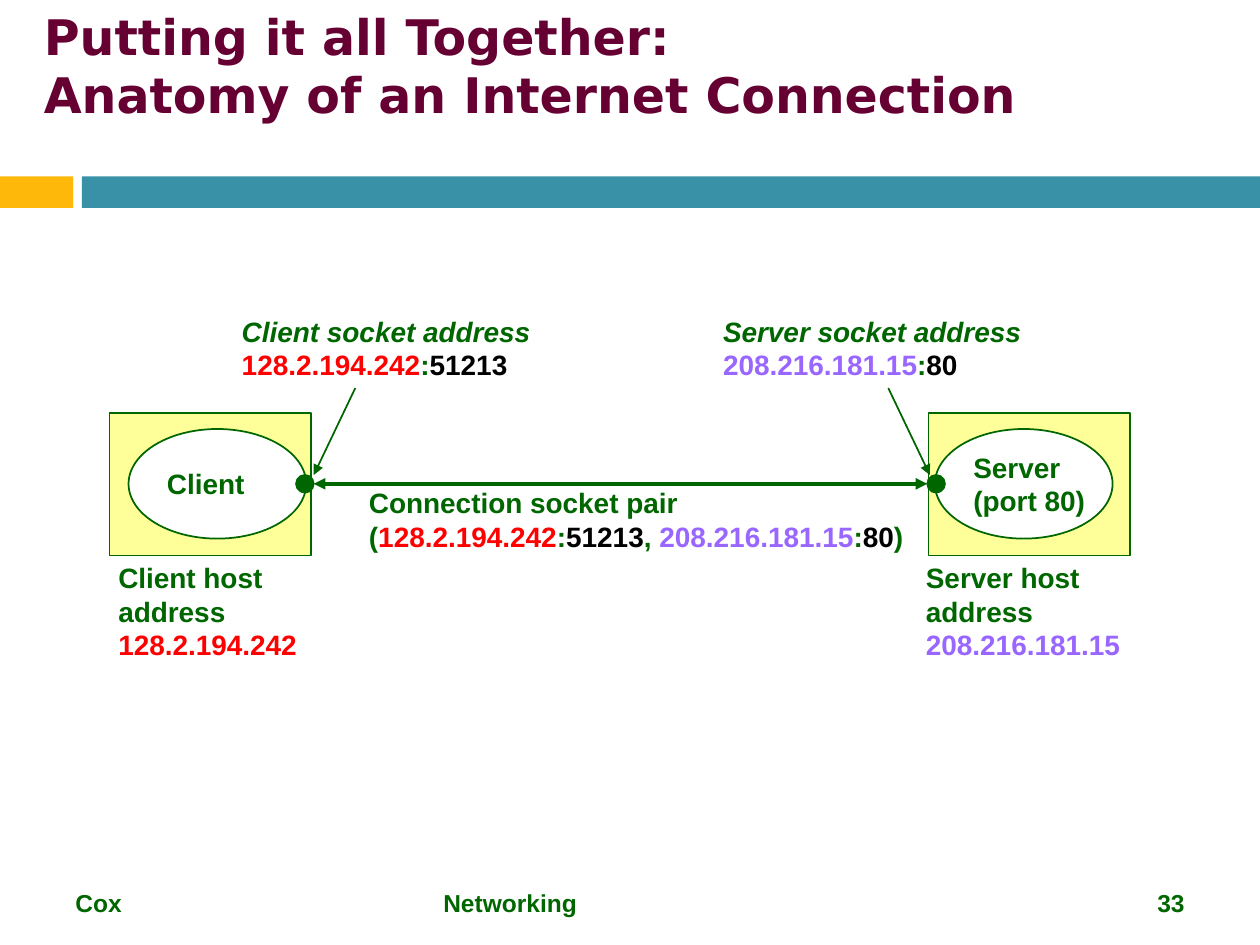
from lxml import etree
from pptx import Presentation
from pptx import util as u
from pptx.dml.color import RGBColor
from pptx.enum import shapes, text
from pptx.oxml import ns

GREEN = RGBColor(0x00, 0x66, 0x00)
MAROON = RGBColor(0x66, 0x00, 0x33)
GOLD = RGBColor(0xFE, 0xB8, 0x0A)
TEAL = RGBColor(0x38, 0x91, 0xA7)
YELLOW = RGBColor(0xFF, 0xFF, 0x99)
WHITE = RGBColor(0xFF, 0xFF, 0xFF)
BLACK = RGBColor(0x00, 0x00, 0x00)
RED = RGBColor(0xFF, 0x00, 0x00)
VIOLET = RGBColor(0x99, 0x66, 0xFF)

# Content: a paragraph is a list of (words, colour) runs
TITLE = "Putting it all Together: \vAnatomy of an Internet Connection"
BANDS = [(0, 0.58, GOLD), (0.65, 9.35, TEAL)]
FOOTERS = [  # words, left, width, alignment
    ("Cox", 0.5, 2.33, text.PP_ALIGN.LEFT),
    ("Networking", 3.42, 3.17, text.PP_ALIGN.LEFT),
    ("33", 7.17, 2.33, text.PP_ALIGN.RIGHT),
]
CLIENT_IP = ("128.2.194.242", RED)
SERVER_IP = ("208.216.181.15", VIOLET)
COLON = (":", GREEN)
CLIENT_SOCKET = [CLIENT_IP, COLON, ("51213", BLACK)]
SERVER_SOCKET = [SERVER_IP, COLON, ("80", BLACK)]
PAIR = [("(", GREEN), *CLIENT_SOCKET, (", ", GREEN), *SERVER_SOCKET, (")", GREEN)]

HOSTS = [
    dict(name="Client", process=["Client"], ip=CLIENT_IP, socket=CLIENT_SOCKET,
         box=0.87, oval=1.02, dot=2.35, socket_at=(1.82, 2.52),
         address_at=(0.84, 1.89), pointer=(2.82, 2.49)),
    dict(name="Server", process=["Server", "(port 80)"], ip=SERVER_IP, socket=SERVER_SOCKET,
         box=7.37, oval=7.42, dot=7.36, socket_at=(5.64, 2.83),
         address_at=(7.25, 1.95), pointer=(7.05, 7.38)),
]
AXIS = 3.84  # height of the connection line
BOX = (1.6, 1.13)
OVAL = (1.41, 0.87)
DOT = 0.14

prs = Presentation()
prs.slide_width, prs.slide_height = u.Inches(10), u.Inches(7.5)
slide = prs.slides.add_slide(prs.slide_layouts[6])


def write(shape, paragraphs, size=16, color=GREEN, font="Arial", italic_first=False,
          wrap=True, anchor=text.MSO_ANCHOR.MIDDLE, align=text.PP_ALIGN.LEFT):
    frame = shape.text_frame
    frame.word_wrap, frame.vertical_anchor = wrap, anchor
    for row, content in enumerate(paragraphs):
        paragraph = frame.paragraphs[0] if row == 0 else frame.add_paragraph()
        paragraph.alignment = align
        runs = [(content, color)] if isinstance(content, str) else content
        for words, run_color in runs:
            for part, piece in enumerate(words.split("\v")):
                if part:
                    paragraph.add_line_break()
                run = paragraph.add_run()
                run.text = piece
                style = dict(name=font, size=u.Pt(size), bold=True,
                             italic=italic_first and row == 0)
                for key, value in style.items():
                    setattr(run.font, key, value)
                run.font.color.rgb = run_color


def add_text(left, top, width, height, paragraphs, **style):
    box = slide.shapes.add_textbox(*map(u.Inches, (left, top, width, height)))
    write(box, paragraphs, **style)


def add_shape(kind, left, top, width, height, fill, line=GREEN):
    shape = slide.shapes.add_shape(kind, *map(u.Inches, (left, top, width, height)))
    shape.shadow.inherit = False
    shape.fill.solid()
    shape.fill.fore_color.rgb = fill
    if line is None:
        shape.line.fill.background()
    else:
        shape.line.color.rgb, shape.line.width = line, u.Pt(1)
    return shape


def add_arrow(x1, y1, x2, y2, width, ends):
    arrow = slide.shapes.add_connector(
        shapes.MSO_CONNECTOR.STRAIGHT, *map(u.Inches, (x1, y1, x2, y2)))
    arrow.line.color.rgb, arrow.line.width = GREEN, u.Pt(width)
    for end in ends:
        etree.SubElement(arrow.line._get_or_add_ln(), ns.qn("a:" + end), type="triangle")
    etree.SubElement(arrow._element.spPr, ns.qn("a:effectLst"))


RECT, ELLIPSE = shapes.MSO_SHAPE.RECTANGLE, shapes.MSO_SHAPE.OVAL

# Header bands, footer and title
for left, width, color in BANDS:
    add_shape(RECT, left, 1.4, width, 0.25, color, line=None)
for words, left, width, align in FOOTERS:
    add_text(left, 7, width, 0.35, [words], size=14, align=align,
             anchor=text.MSO_ANCHOR.TOP)
add_text(0.25, 0, 9, 1.03, [TITLE], size=28, color=MAROON, font="DejaVu Sans")

# Hosts and their processes
for host in HOSTS:
    add_shape(RECT, host["box"], 3.28, *BOX, YELLOW)
    oval = add_shape(ELLIPSE, host["oval"], AXIS - OVAL[1] / 2, *OVAL, WHITE)
    write(oval, host["process"], wrap=False)

# Connection between the two sockets
add_text(2.83, 3.8, 4.49, 0.64, ["Connection socket pair", PAIR], wrap=False)
client, server = HOSTS
add_arrow(client["dot"] + DOT, AXIS, server["dot"], AXIS, 2.25, ("headEnd", "tailEnd"))

# Sockets, their addresses and pointers
for host in HOSTS:
    add_shape(ELLIPSE, host["dot"], AXIS - DOT / 2, DOT, DOT, GREEN)
    left, width = host["socket_at"]
    add_text(left, 2.44, width, 0.64, [host["name"] + " socket address", host["socket"]],
             italic_first=True, wrap=False)
    start, end = host["pointer"]
    add_arrow(start, 3.08, end, AXIS - DOT / 2, 1, ("tailEnd",))
    left, width = host["address_at"]
    add_text(left, 4.53, width, 0.64, [host["name"] + " host address", [host["ip"]]])

prs.save("out.pptx")
